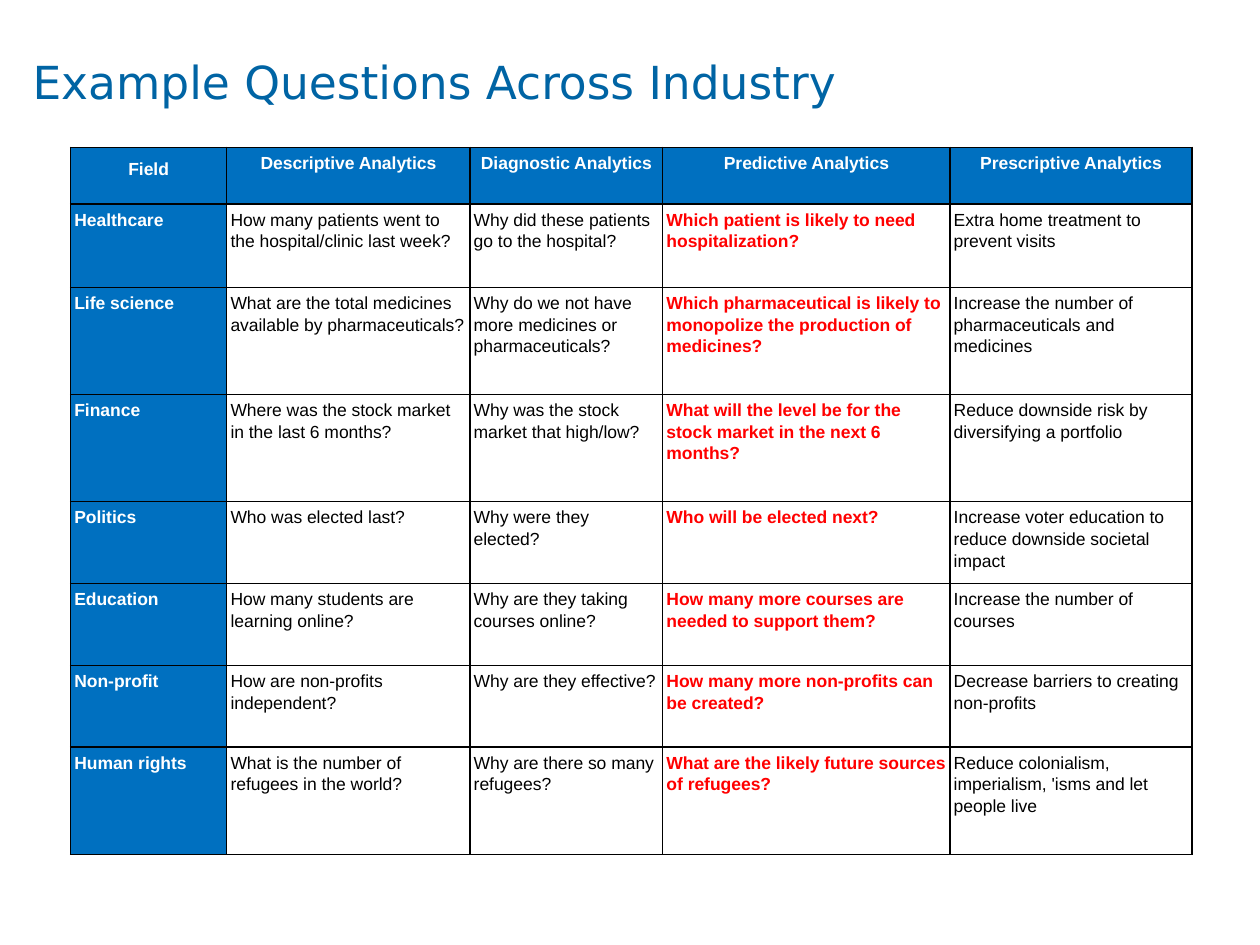
import pptx
import pptx.dml.color
import pptx.enum.text
import pptx.oxml
import pptx.oxml.ns
import pptx.util
from dataclasses import dataclass

Inches = pptx.util.Inches
Pt = pptx.util.Pt
Align = pptx.enum.text.PP_ALIGN
Anchor = pptx.enum.text.MSO_ANCHOR


@dataclass
class Theme:
    title: str = "0064A4"
    head: str = "0070C0"
    light: str = "FFFFFF"
    dark: str = "000000"
    accent: str = "FF0000"
    title_font: str = "DejaVu Sans"
    font: str = "Arial"
    title_size: float = 26
    size: float = 10
    line: float = 1
    spacing: float = 1.12
    inset: float = 0.03


def apply(target, values):
    for name, value in values.items():
        setattr(target, name, value)


def margins(gap):
    sides = ("left", "top", "right", "bottom")
    return {f"margin_{side}": Inches(gap) for side in sides}


def rgb(code):
    return pptx.dml.color.RGBColor.from_string(code)


class Deck:
    def __init__(self, theme):
        self.theme = theme
        self.show = pptx.Presentation()
        apply(self.show, {"slide_width": Inches(10), "slide_height": Inches(7.5)})
        self.slide = self.show.slides.add_slide(self.show.slide_layouts[6])

    def label(self, para, text, color, **font):
        run = para.add_run()
        run.text = text
        apply(run.font, font)
        run.font.color.rgb = rgb(color)

    def title(self, text, box):
        frame = self.slide.shapes.add_textbox(*map(Inches, box)).text_frame
        apply(frame, {"word_wrap": True, "vertical_anchor": Anchor.BOTTOM, **margins(0.1)})
        look = self.theme
        self.label(frame.paragraphs[0], text, look.title,
                   name=look.title_font, size=Pt(look.title_size))

    def border(self, cell):
        props = cell._tc.get_or_add_tcPr()
        space = pptx.oxml.ns.nsdecls("a")
        for side in "LRTB":
            props.append(pptx.oxml.parse_xml(
                f'<a:ln{side} {space} w="{Pt(self.theme.line)}"><a:solidFill>'
                f'<a:srgbClr val="{self.theme.dark}"/></a:solidFill></a:ln{side}>'))

    def cell(self, cell, text, color, fill, bold, align):
        look = self.theme
        apply(cell, {"vertical_anchor": Anchor.TOP, **margins(look.inset)})
        para = cell.text_frame.paragraphs[0]
        apply(para, {"alignment": align, "line_spacing": look.spacing})
        self.label(para, text, color, name=look.font, size=Pt(look.size), bold=bold)
        self.border(cell)
        if fill:
            cell.fill.solid()
            cell.fill.fore_color.rgb = rgb(fill)
        else:
            cell.fill.background()

    def table(self, rows, left, top, widths, heights, key):
        look = self.theme
        size = (left, top, sum(widths), sum(heights))
        grid = self.slide.shapes.add_table(
            len(rows), len(widths), *map(Inches, size)).table
        apply(grid, {"first_row": False, "horz_banding": False})
        for col, width in zip(grid.columns, widths):
            col.width = Inches(width)
        for row, height in zip(grid.rows, heights):
            row.height = Inches(height)
        for r, row in enumerate(rows):
            for c, text in enumerate(row):
                if r == 0 or c == 0:
                    color, fill = look.light, look.head
                else:
                    color, fill = (look.accent if c == key else look.dark), None
                align = Align.LEFT if r else Align.CENTER
                self.cell(grid.cell(r, c), text, color, fill, color != look.dark, align)
        return grid


ROWS = [
    ("Field", "Descriptive Analytics", "Diagnostic Analytics",
     "Predictive Analytics", "Prescriptive Analytics"),
    ("Healthcare", "How many patients went to the hospital/clinic last week?",
     "Why did these patients go to the hospital?",
     "Which patient is likely to need hospitalization?",
     "Extra home treatment to prevent visits"),
    ("Life science", "What are the total medicines available by pharmaceuticals?",
     "Why do we not have more medicines or pharmaceuticals?",
     "Which pharmaceutical is likely to monopolize the production of medicines?",
     "Increase the number of pharmaceuticals and medicines"),
    ("Finance", "Where was the stock market in the last 6 months?",
     "Why was the stock market that high/low?",
     "What will the level be for the stock market in the next 6 months?",
     "Reduce downside risk by diversifying a portfolio"),
    ("Politics", "Who was elected last?", "Why were they elected?",
     "Who will be elected next?",
     "Increase voter education to reduce downside societal impact"),
    ("Education", "How many students are learning online?",
     "Why are they taking courses online?",
     "How many more courses are needed to support them?",
     "Increase the number of courses"),
    ("Non-profit", "How are non-profits independent?", "Why are they effective?",
     "How many more non-profits can be created?",
     "Decrease barriers to creating non-profits"),
    ("Human rights", "What is the number of refugees in the world?",
     "Why are there so many refugees?",
     "What are the likely future sources of refugees?",
     "Reduce colonialism, imperialism, 'isms and let people live"),
]


def main():
    deck = Deck(Theme())

    # Table of questions, with the predictive column stressed
    grid = deck.table(ROWS, 0.56, 1.17, (1.24, 1.93, 1.53, 2.28, 1.92),
                      (0.45, 0.66, 0.85, 0.85, 0.65, 0.65, 0.65, 0.85), key=3)

    # The corner label sits a little lower than the other heads
    apply(grid.cell(0, 0), {"vertical_anchor": Anchor.BOTTOM,
                            "margin_bottom": Inches(0.2)})

    # Title
    deck.title("Example Questions Across Industry", (0.16, 0.38, 9.81, 0.58))

    deck.show.save("out.pptx")


if __name__ == "__main__":
    main()
